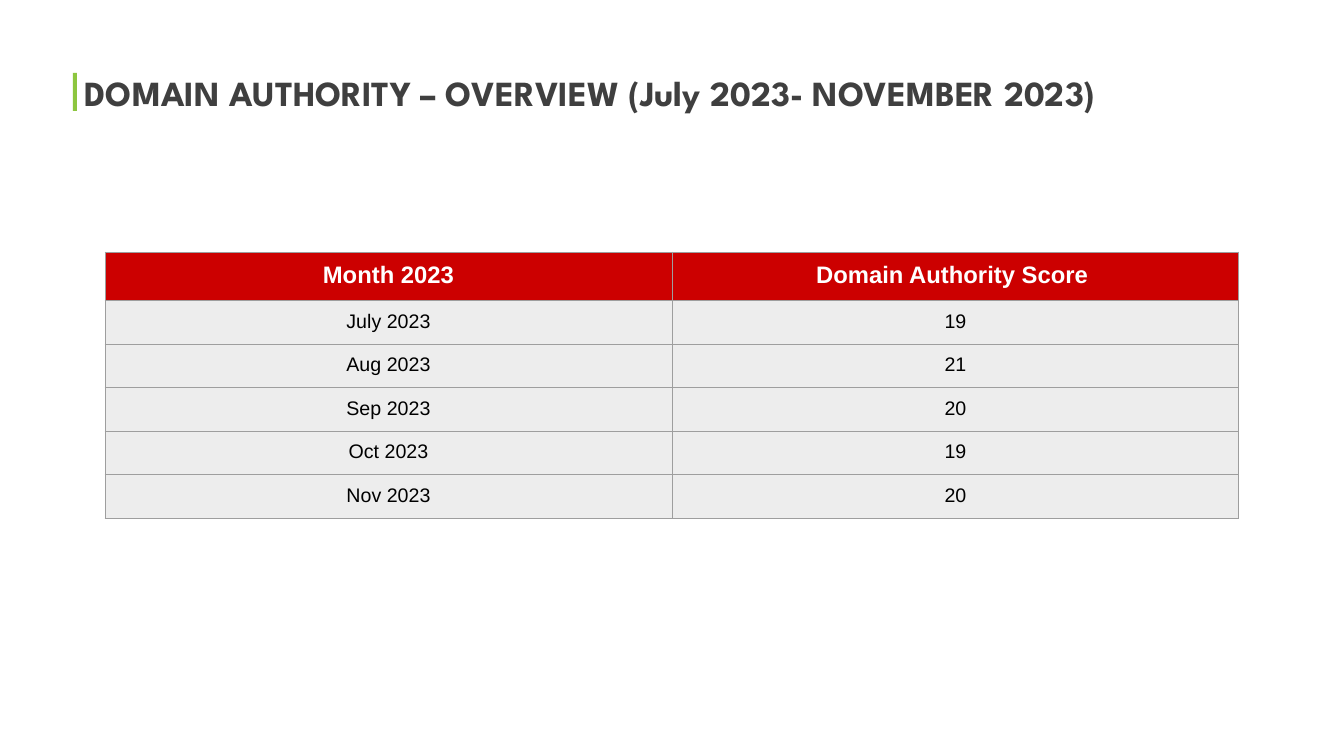
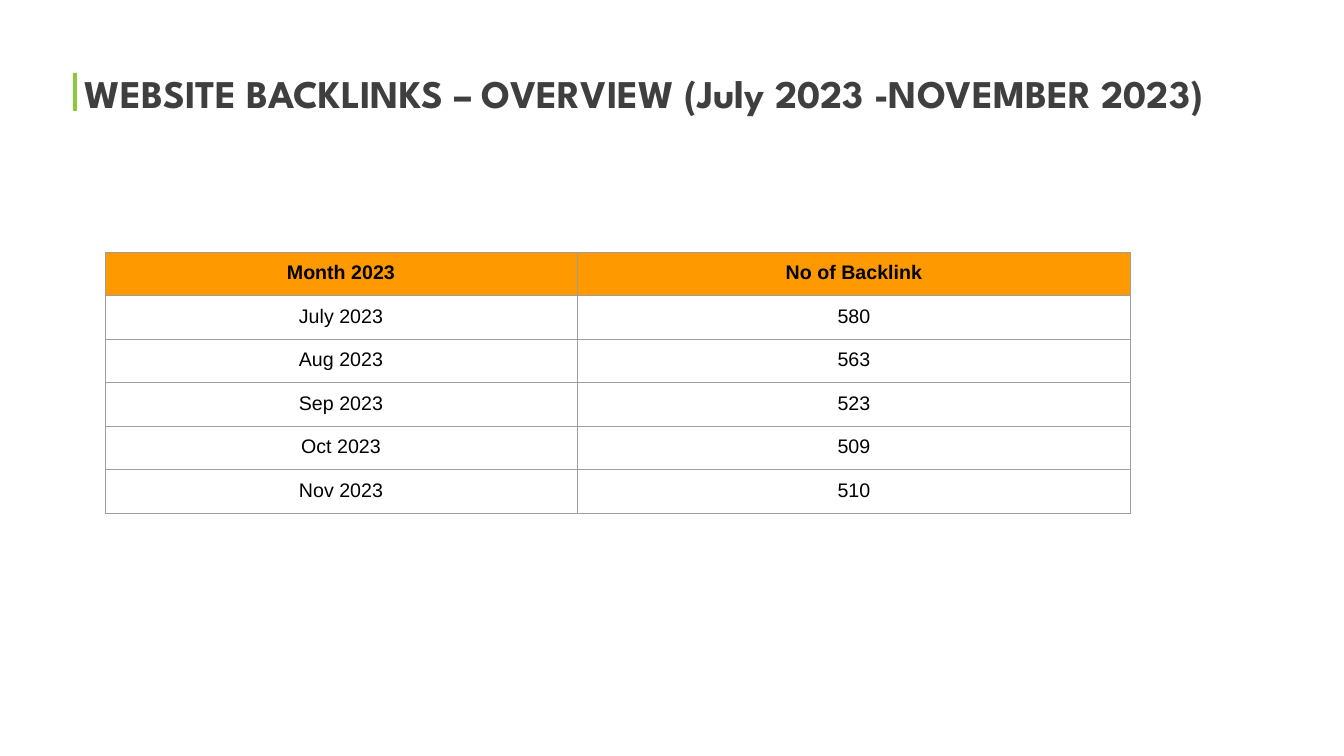
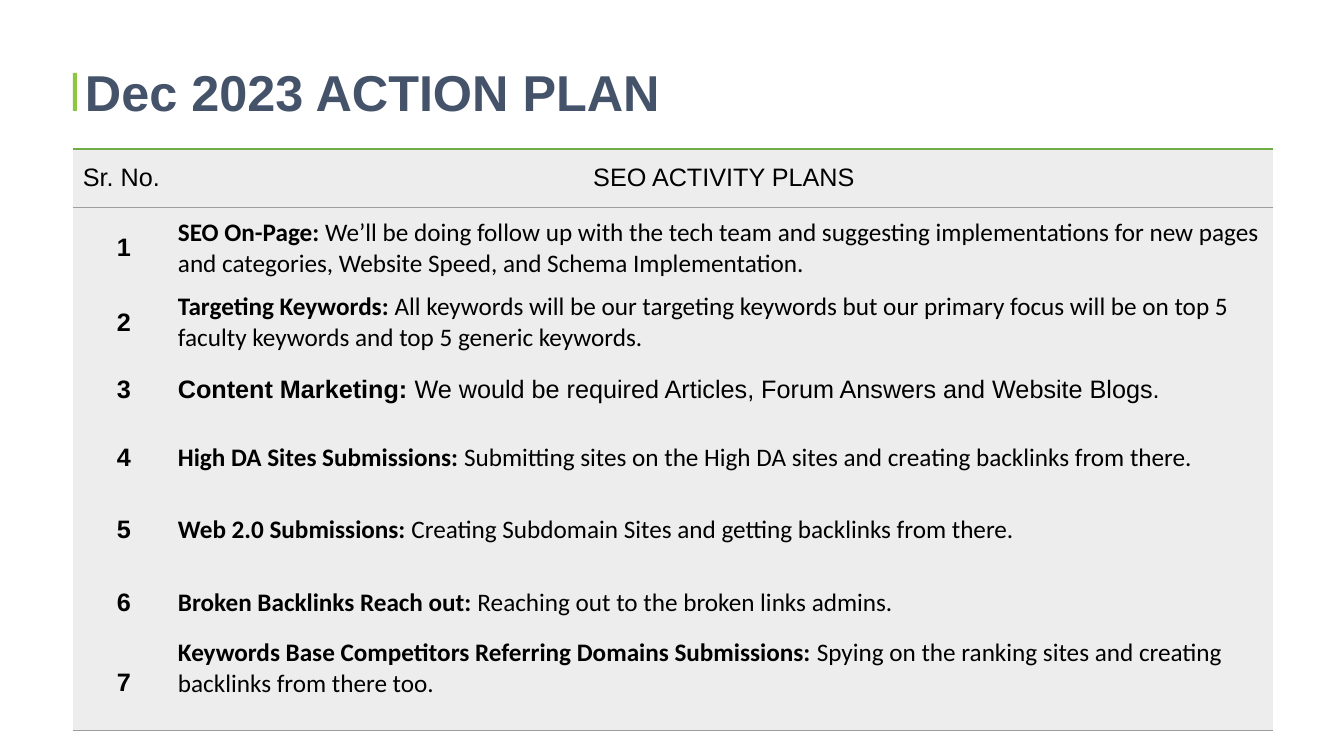
from lxml.etree import SubElement
from pptx import Presentation
from pptx.dml.color import RGBColor
from pptx.enum.shapes import MSO_SHAPE
from pptx.enum.text import MSO_ANCHOR as Anchor, PP_ALIGN as Align
from pptx.oxml.ns import qn
from pptx.util import Pt

PX = 914400 / 100.8
PLAIN_TABLE_STYLE = "{2D5ABB26-0587-4C30-8999-92F81FD0307C}"
GREEN, DARK, SLATE = "8DC63F", "3F3F3F", "44536A"
BLACK, WHITE, PALE, GRID = "000000", "FFFFFF", "EDEDED", "9E9E9E"


def rgb(color):
    return RGBColor.from_string(color)


def format_cell(cell, runs, size, color, fill, align, anchor, margins, borders):
    paragraph = cell.text_frame.paragraphs[0]
    paragraph.alignment = align
    for text, font_name, bold in runs:
        run = paragraph.add_run()
        run.text = text
        run.font.name, run.font.size, run.font.bold = font_name, Pt(size), bold
        run.font.color.rgb = rgb(color)
    cell.vertical_anchor = anchor
    left, top, right, bottom = [round(margin * PX) for margin in margins]
    cell.margin_left, cell.margin_top = left, top
    cell.margin_right, cell.margin_bottom = right, bottom
    properties = cell._tc.get_or_add_tcPr()
    for side in "LRTB":
        if side in borders:
            line_color, width = borders[side]
            line = SubElement(properties, qn("a:ln" + side), w=str(Pt(width)))
            line_fill = SubElement(line, qn("a:solidFill"))
            SubElement(line_fill, qn("a:srgbClr"), val=line_color)
    cell.fill.solid()
    cell.fill.fore_color.rgb = rgb(fill)


presentation = Presentation()
presentation.slide_width = round(1344 * PX)
presentation.slide_height = round(756 * PX)

pages = [
    ("DOMAIN AUTHORITY – OVERVIEW (July 2023- NOVEMBER 2023)", "League Spartan", 25.2, DARK,
     (105, 252), (567, 567), [46] + [42] * 5),
    ("WEBSITE BACKLINKS – OVERVIEW (July 2023 -NOVEMBER 2023)", "League Spartan", 28, DARK,
     (105, 252), (472, 554), [42] * 6),
    ("Dec 2023 ACTION PLAN", "Arial", 36, SLATE,
     (73, 149), (102, 1098), [58, 82, 67, 68, 67, 78, 67, 93]),
]
tables = []
for title, font_name, size, color, position, widths, heights in pages:
    slide = presentation.slides.add_slide(presentation.slide_layouts[6])

    bar = slide.shapes.add_shape(
        MSO_SHAPE.RECTANGLE, *[round(length * PX) for length in (73, 73, 4, 38)])
    bar.shadow.inherit = False
    bar.fill.solid()
    bar.fill.fore_color.rgb = rgb(GREEN)
    bar.line.fill.background()

    title_box = slide.shapes.add_textbox(
        *[round(length * PX) for length in (75, 58, 1190, 75)])
    title_box.text_frame.word_wrap = True
    title_box.text_frame.vertical_anchor = Anchor.MIDDLE
    title_box.text_frame.text = title
    paragraph = title_box.text_frame.paragraphs[0]
    paragraph.line_spacing = 0.9
    font = paragraph.runs[0].font
    font.name, font.size, font.bold = font_name, Pt(size), True
    font.color.rgb = rgb(color)

    area = (*position, sum(widths), sum(heights))
    table = slide.shapes.add_table(
        len(heights), len(widths), *[round(length * PX) for length in area]).table
    table.first_row = table.horz_banding = False
    table._tbl.tblPr.find(qn("a:tableStyleId")).text = PLAIN_TABLE_STYLE
    for column, width in zip(table.columns, widths):
        column.width = round(width * PX)
    for row, height in zip(table.rows, heights):
        row.height = round(height * PX)
    tables.append(table)

authority_table, backlink_table, plan_table = tables

months = ["July 2023", "Aug 2023", "Sep 2023", "Oct 2023", "Nov 2023"]
score_tables = [
    (authority_table, "Domain Authority Score ", [19, 21, 20, 19, 20], 17, WHITE, "CC0000", PALE),
    (backlink_table, "No of Backlink", [580, 563, 523, 509, 510], 14, BLACK, "FF9900", WHITE),
]
grid_borders = {side: (GRID, 0.75) for side in "LRTB"}
for table, heading, scores, header_size, header_color, header_fill, body_fill in score_tables:
    rows = [("Month 2023", heading), *zip(months, scores)]
    for row_index, values in enumerate(rows):
        is_header = row_index == 0
        for column_index, value in enumerate(values):
            format_cell(
                table.cell(row_index, column_index), [(str(value), "Arial", is_header)],
                header_size if is_header else 14, header_color if is_header else BLACK,
                header_fill if is_header else body_fill,
                Align.CENTER, Anchor.TOP, (10, 10, 10, 10), grid_borders)

plans = [
    ("SEO On-Page:", " We’ll be doing follow up with the tech team and suggesting implementations "
     "for new pages and categories, Website Speed, and Schema Implementation.", "Calibri"),
    ("Targeting Keywords:", " All keywords will be our targeting keywords but our primary focus "
     "will be on top 5 faculty keywords and top 5 generic keywords.", "Calibri"),
    ("Content Marketing:", " We would be required Articles, Forum Answers and Website Blogs.",
     "Arial"),
    ("High DA Sites Submissions:", " Submitting sites on the High DA sites and creating backlinks "
     "from there.", "Calibri"),
    ("Web 2.0 Submissions:", " Creating Subdomain Sites and getting backlinks from there.",
     "Calibri"),
    ("Broken Backlinks Reach out:", " Reaching out to the broken links admins.", "Calibri"),
    ("Keywords Base Competitors Referring Domains Submissions:", " Spying on the ranking sites "
     "and creating backlinks from there too.", "Calibri"),
]
header_borders = {"T": ("70AD47", 1.5), "B": (GRID, 0.75)}
label_margins = (10, 5, 10, 5)
for column_index, (heading, align) in enumerate(
        [("Sr. No.", Align.LEFT), ("SEO ACTIVITY PLANS", Align.CENTER)]):
    format_cell(plan_table.cell(0, column_index), [(heading, "Arial", False)], 18, BLACK, PALE,
                align, Anchor.MIDDLE, label_margins, header_borders)
for number, (name, detail, font_name) in enumerate(plans, 1):
    is_last = number == len(plans)
    borders = {"B": (GRID, 0.75)} if is_last else {}
    plan_margins = (3, 2, 3, 32 if is_last else 2)
    format_cell(plan_table.cell(number, 0), [(str(number), "Arial", True)], 18, BLACK, PALE,
                Align.CENTER, Anchor.MIDDLE, label_margins, borders)
    format_cell(plan_table.cell(number, 1), [(name, font_name, True), (detail, font_name, False)],
                18, BLACK, PALE, Align.LEFT, Anchor.MIDDLE, plan_margins, borders)

presentation.save("out.pptx")
